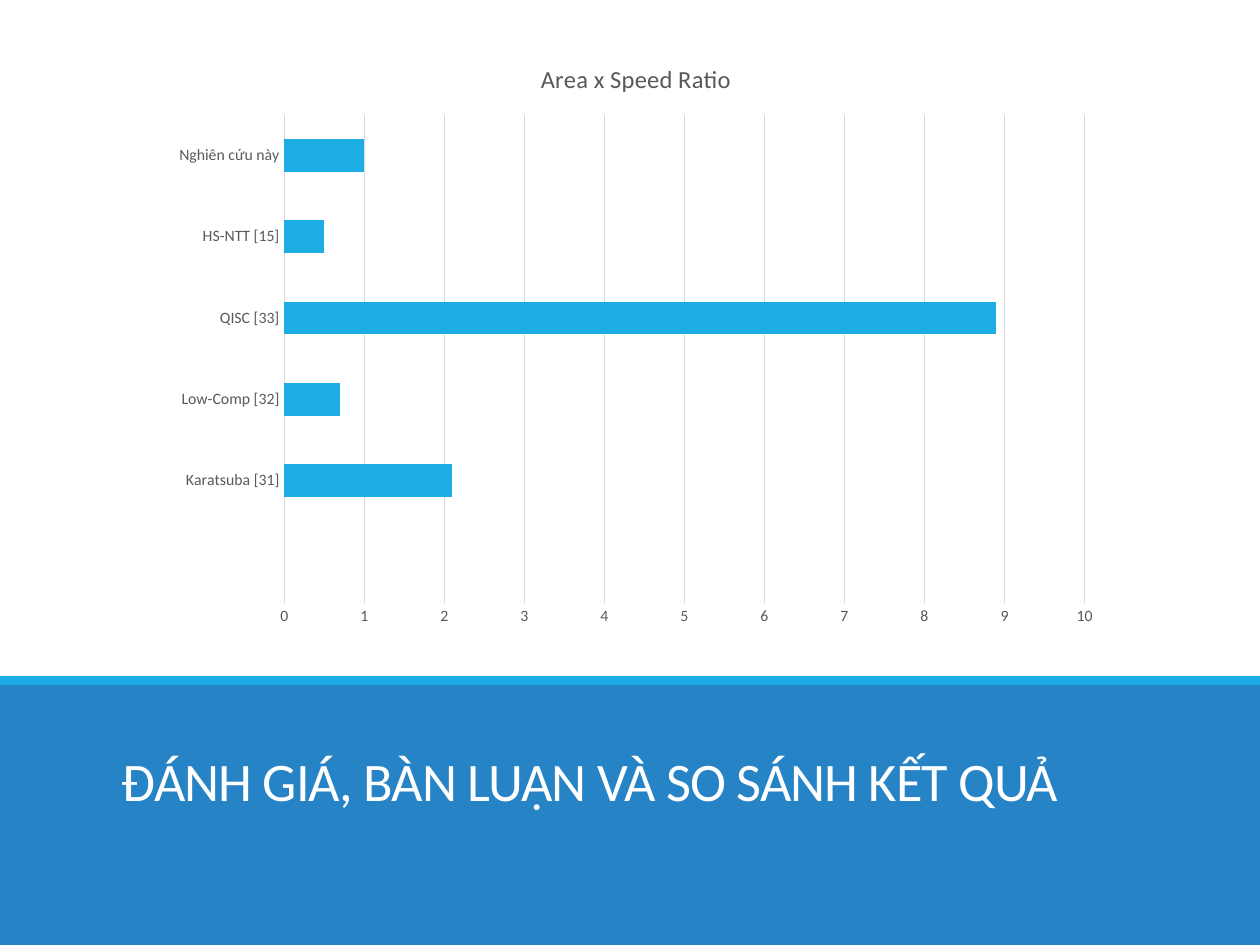
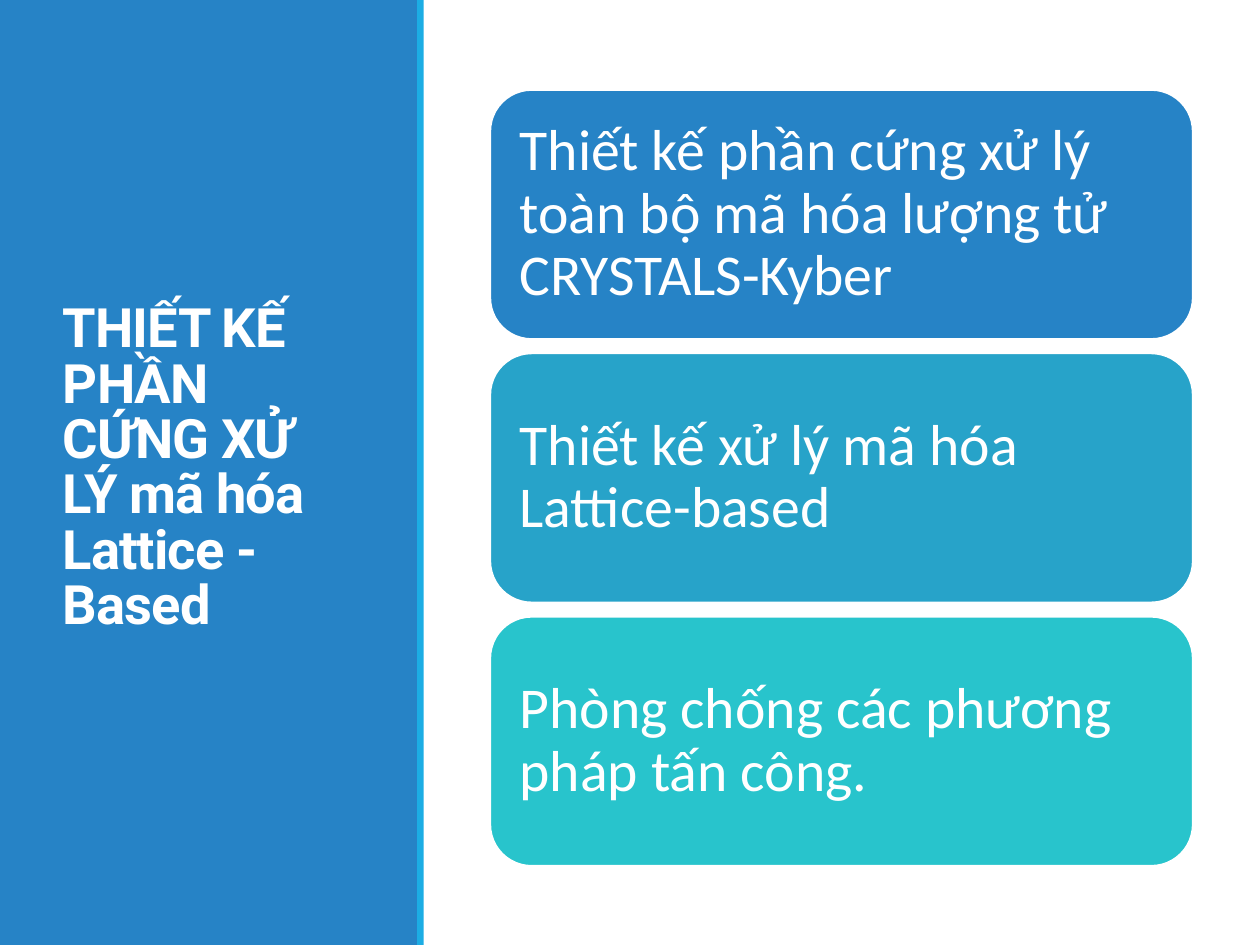
from pptx import Presentation
from pptx.chart.data import CategoryChartData
from pptx.dml.color import RGBColor
from pptx.enum import chart as charts, shapes, text
from pptx.util import Cm, Pt

# Content
RESULTS_TITLE = "ĐÁNH GIÁ, BÀN LUẬN VÀ SO SÁNH KẾT QUẢ"
RATIO_NAME = "Area x Speed Ratio"
RATIOS = [
    ("", None),
    ("Karatsuba [31]", 2.1),
    ("Low-Comp [32]", 0.7),
    ("QISC [33]", 8.9),
    ("HS-NTT [15]", 0.5),
    ("Nghiên cứu này", 1),
]
DESIGN_TITLE = "THIẾT KẾ PHẦN CỨNG XỬ LÝ mã hóa Lattice - Based"

# Shared look
WHITE = RGBColor(0xFF, 0xFF, 0xFF)
BLUE = RGBColor(0x26, 0x83, 0xC6)
SKY = RGBColor(0x1C, 0xAD, 0xE4)
OCEAN = RGBColor(0x27, 0xA3, 0xC9)
TURQUOISE = RGBColor(0x28, 0xC4, 0xCC)
GREY = RGBColor(0x59, 0x59, 0x59)
GRID = RGBColor(0xD9, 0xD9, 0xD9)
BODY_FONT = "Calibri"
WIDTH, HEIGHT = 25.4, 19.05

GOALS = [
    ("Thiết kế phần cứng xử lý toàn bộ mã hóa lượng tử CRYSTALS-Kyber", BLUE),
    ("Thiết kế xử lý mã hóa Lattice-based", OCEAN),
    ("Phòng chống các phương pháp tấn công.", TURQUOISE),
]


def box(values):
    return [Cm(value) for value in values]


def style_font(font, size, color, name=BODY_FONT, bold=False):
    font.size, font.name, font.bold = Pt(size), name, bold
    font.color.rgb = color


def add_block(slide, place, color, kind=shapes.MSO_SHAPE.RECTANGLE):
    block = slide.shapes.add_shape(kind, *box(place))
    block.shadow.inherit = False
    block.fill.solid()
    block.fill.fore_color.rgb = color
    block.line.fill.background()
    return block


def write(frame, words, size, anchor, spacing, name=BODY_FONT, bold=False):
    frame.word_wrap = True
    frame.vertical_anchor = anchor
    paragraph = frame.paragraphs[0]
    paragraph.alignment = text.PP_ALIGN.LEFT
    paragraph.line_spacing = spacing
    run = paragraph.add_run()
    run.text = words
    style_font(run.font, size, WHITE, name, bold)
    return run


def add_title(slide, place, words, anchor, name=BODY_FONT, bold=False):
    title = slide.shapes.add_textbox(*box(place))
    run = write(title.text_frame, words, 31, anchor, 0.85, name, bold)
    run.font._element.set("spc", "-50")


def add_ratio_chart(slide, place):
    data = CategoryChartData()
    data.categories = [label for label, _ in RATIOS]
    data.add_series(RATIO_NAME, [ratio for _, ratio in RATIOS])
    chart = slide.shapes.add_chart(
        charts.XL_CHART_TYPE.BAR_CLUSTERED, *box(place), data).chart
    chart.has_legend = False
    chart.font.name, chart.font.size = BODY_FONT, Pt(10)

    chart.has_title = True
    heading = chart.chart_title.text_frame.paragraphs[0].add_run()
    heading.text = RATIO_NAME
    style_font(heading.font, 14, GREY)
    chart.chart_title.include_in_layout = False

    for axis in (chart.category_axis, chart.value_axis):
        axis.major_tick_mark = axis.minor_tick_mark = charts.XL_TICK_MARK.NONE
        axis.format.line.fill.background()
        style_font(axis.tick_labels.font, 9, GREY)
    scale = chart.value_axis
    scale.minimum_scale, scale.maximum_scale, scale.major_unit = 0, 10, 1
    scale.has_major_gridlines = True
    scale.major_gridlines.format.line.color.rgb = GRID
    scale.major_gridlines.format.line.width = Pt(0.75)

    bars = chart.plots[0]
    bars.gap_width = 150
    bars.vary_by_categories = False
    series = bars.series[0]
    series.invert_if_negative = False
    series.format.fill.solid()
    series.format.fill.fore_color.rgb = SKY


def build_results(slide):
    band_top = 13.77
    add_block(slide, (0, band_top, WIDTH, HEIGHT - band_top), BLUE)
    add_block(slide, (0, 13.63, WIDTH, 0.18), SKY)
    add_title(slide, (2.21, 14.22, 20.96, 2.29), RESULTS_TITLE,
              text.MSO_ANCHOR.BOTTOM)
    add_ratio_chart(slide, (3.23, 0.79, 19.18, 12.07))


def build_design(slide):
    # Side panel
    add_block(slide, (0, 0, 8.43, HEIGHT), BLUE)
    add_block(slide, (8.41, 0, 0.13, HEIGHT), SKY)
    add_title(slide, (1.02, 1.45, 6.43, 16.03), DESIGN_TITLE,
              text.MSO_ANCHOR.MIDDLE, "Roboto", True)

    # Stack of goal cards
    left, top, width, height, gap = 9.88, 1.81, 14.17, 5.03, 0.28
    for row, (goal, color) in enumerate(GOALS):
        card = add_block(slide, (left, top + row * (height + gap), width, height),
                         color, shapes.MSO_SHAPE.ROUNDED_RECTANGLE)
        card.line.color.rgb = WHITE
        card.line.width = Pt(1.25)
        frame = card.text_frame
        frame.margin_left = frame.margin_right = Cm(0.35)
        frame.margin_top = frame.margin_bottom = Cm(0.35)
        write(frame, goal, 33, text.MSO_ANCHOR.MIDDLE, 0.9)


def main():
    deck = Presentation()
    deck.slide_width, deck.slide_height = Cm(WIDTH), Cm(HEIGHT)
    for build in (build_results, build_design):
        build(deck.slides.add_slide(deck.slide_layouts[6]))
    deck.save("out.pptx")


if __name__ == "__main__":
    main()
